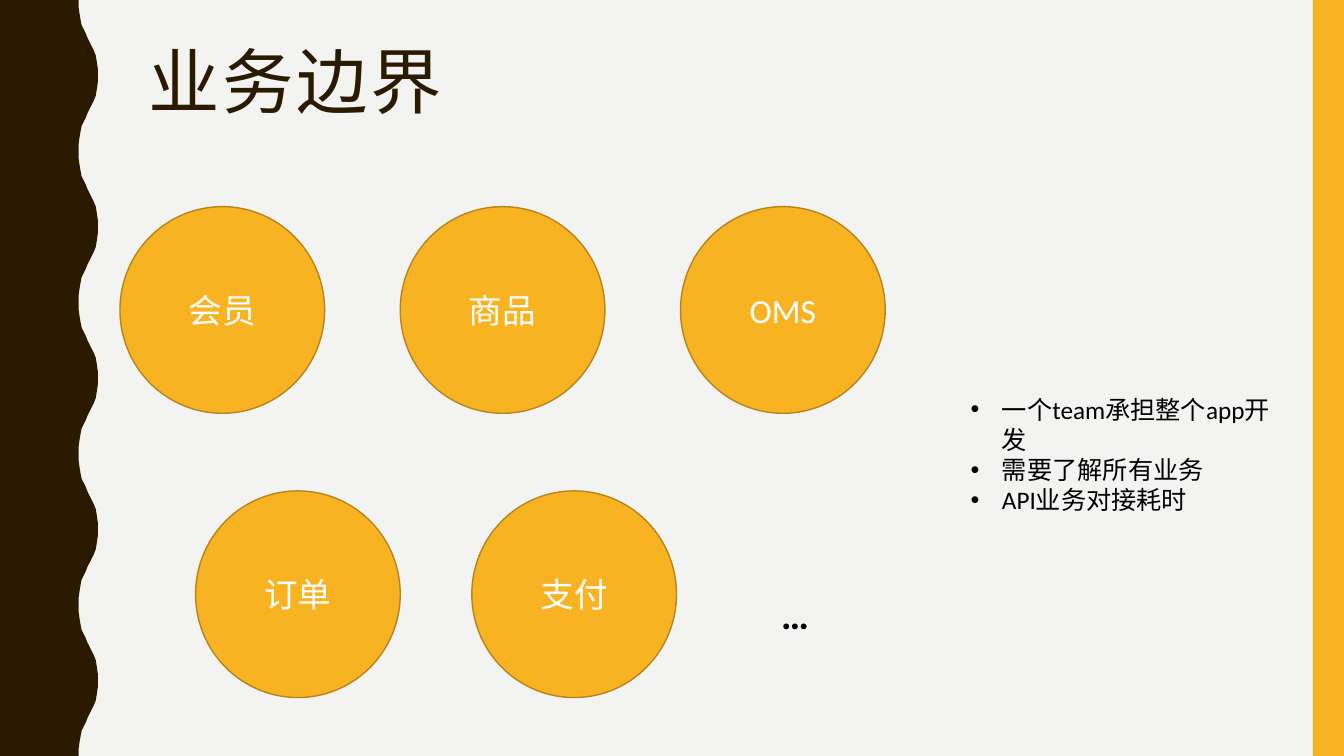
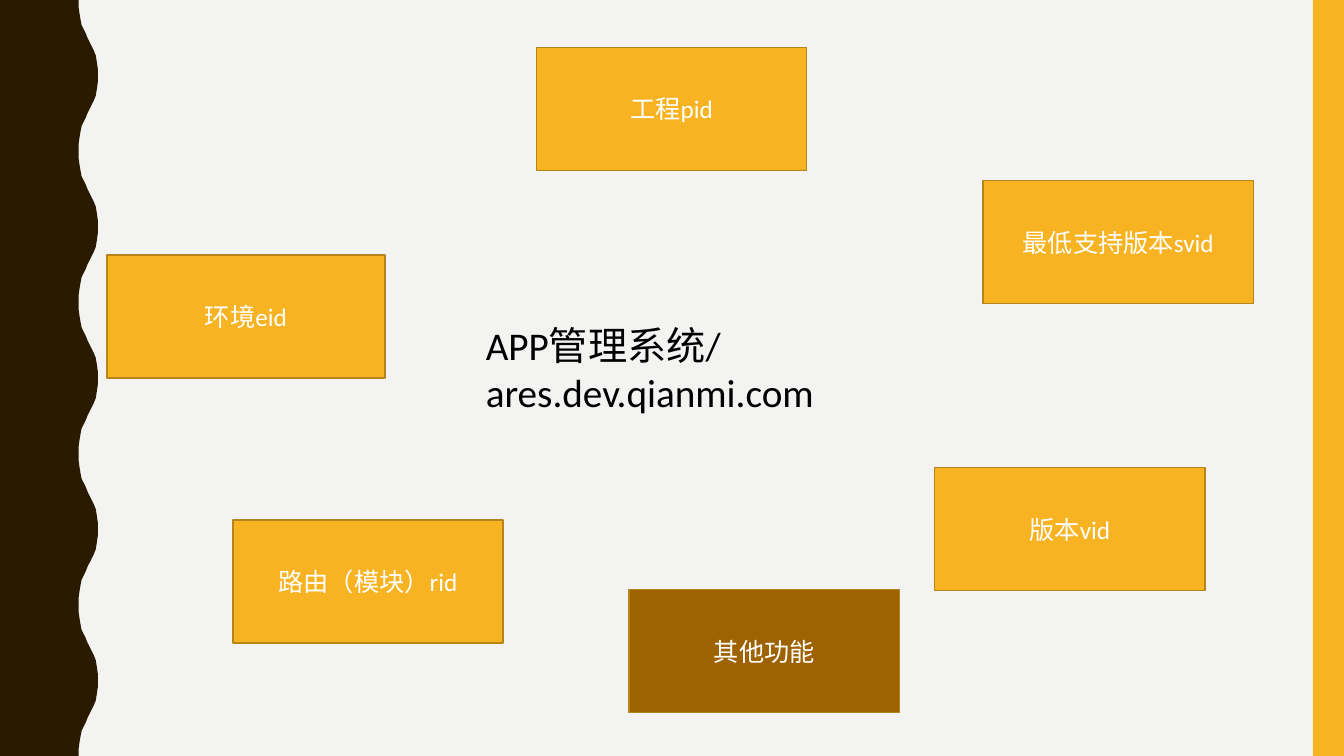
"""Build two slides on business boundaries and an app management system."""
from lxml import etree
from pptx import Presentation
from pptx.dml.color import RGBColor
from pptx.enum.shapes import MSO_SHAPE
from pptx.enum.text import MSO_ANCHOR, PP_ALIGN
from pptx.oxml.ns import qn
from pptx.util import Inches, Pt

RECTANGLE, OVAL = MSO_SHAPE.RECTANGLE, MSO_SHAPE.OVAL
MIDDLE, CENTER = MSO_ANCHOR.MIDDLE, PP_ALIGN.CENTER

PAPER = RGBColor(0xF3, 0xF3, 0xF2)
DARK = RGBColor(0x2A, 0x1A, 0x00)
GOLD = RGBColor(0xF8, 0xB3, 0x23)
GOLD_EDGE = RGBColor(0xB7, 0x84, 0x1A)
BROWN = RGBColor(0x9F, 0x62, 0x00)
WHITE = RGBColor(0xFF, 0xFF, 0xFF)
BLACK = RGBColor(0x00, 0x00, 0x00)

TITLE_FONT, BODY_FONT = "Roboto Condensed", "Calibri"
PAGE_WIDTH, PAGE_HEIGHT = 13.33, 7.5
BAND_WIDTH = 0.31
WAVE_LENGTH, WAVE_COUNT = 1.5, 5
HALF_WAVE = [
    (0.78, 0), (0.78, 0.07), (0.79, 0.14), (0.8, 0.2), (0.81, 0.25),
    (0.83, 0.29), (0.85, 0.33), (0.87, 0.38), (0.89, 0.42), (0.91, 0.46),
    (0.93, 0.5), (0.95, 0.55), (0.96, 0.61), (0.97, 0.68), (0.97, 0.75),
]


def style_text(frame, size, color, font=BODY_FONT, bold=False):
    """Format every run of a text frame."""
    for para in frame.paragraphs:
        for span in para.runs:
            span.font.size = Pt(size)
            span.font.name = font
            span.font.bold = bold
            span.font.color.rgb = color


def paint(shape, fill, line=None):
    """Give a shape a flat fill and an optional thin outline."""
    shape.shadow.inherit = False
    shape.fill.solid()
    shape.fill.fore_color.rgb = fill
    if line is None:
        shape.line.fill.background()
    else:
        shape.line.color.rgb = line
        shape.line.width = Pt(1)


def add_label_shape(page, kind, box, label, size, fill=GOLD):
    """Add an outlined shape with a centred white label."""
    shape = page.shapes.add_shape(kind, *map(Inches, box))
    paint(shape, fill, GOLD_EDGE)
    frame = shape.text_frame
    frame.word_wrap = True
    frame.vertical_anchor = MIDDLE
    frame.text = label
    frame.paragraphs[0].alignment = CENTER
    style_text(frame, size, WHITE)


def add_text(page, box, text, size, color=BLACK, font=BODY_FONT, bold=False):
    """Add a wrapping text box and return its frame."""
    frame = page.shapes.add_textbox(*map(Inches, box)).text_frame
    frame.word_wrap = True
    frame.text = text
    style_text(frame, size, color, font, bold)
    return frame


def add_title(page, text):
    """Add the slide title."""
    frame = add_text(page, (1.37, 0.42, 11.13, 1.63), text, 51, DARK, TITLE_FONT)
    para = frame.paragraphs[0]
    para.line_spacing = 0.9
    for span in para.runs:
        span.font._element.set("spc", "200")


def add_bullets(page, box, items, size):
    """Add a bulleted list with a hanging indent."""
    frame = add_text(page, box, "\n".join(items), size)
    for para in frame.paragraphs:
        properties = para._p.get_or_add_pPr()
        properties.set("marL", str(Inches(0.31)))
        properties.set("indent", str(Inches(-0.31)))
        etree.SubElement(properties, qn("a:buFont")).set("typeface", "Arial")
        etree.SubElement(properties, qn("a:buChar")).set("char", "•")


def add_wave(page):
    """Add the dark band with a wavy right edge."""
    crest = HALF_WAVE + [(x, WAVE_LENGTH - y) for x, y in HALF_WAVE[-2::-1]]
    outline = [(x, y + WAVE_LENGTH * turn) for turn in range(WAVE_COUNT) for x, y in crest]
    outline.append((0, PAGE_HEIGHT))
    builder = page.shapes.build_freeform(0, 0)
    builder.add_line_segments([(Inches(x), Inches(y)) for x, y in outline], close=True)
    paint(builder.convert_to_shape(), DARK)


def new_page(deck):
    """Add a blank slide with the shared side bands."""
    page = deck.slides.add_slide(deck.slide_layouts[6])
    add_wave(page)
    box = (PAGE_WIDTH - BAND_WIDTH, 0, BAND_WIDTH, PAGE_HEIGHT)
    paint(page.shapes.add_shape(RECTANGLE, *map(Inches, box)), GOLD)
    return page


def add_circle_row(page, left, top, pitch, labels):
    """Add a row of equally spaced circles."""
    for index, label in enumerate(labels):
        box = (left + index * pitch, top, 2.03, 2.05)
        add_label_shape(page, OVAL, box, label, 24)


def build_boundary_slide(deck):
    """Build the slide on business boundaries."""
    page = new_page(deck)
    add_title(page, "业务边界")
    add_circle_row(page, 1.19, 2.05, 2.78, ["会员", "商品", "OMS"])
    add_circle_row(page, 1.94, 4.87, 2.74, ["订单", "支付"])
    add_text(page, (7.65, 5.81, 0.59, 0.57), "…", 28, bold=True)
    notes = ["一个team承担整个app开发", "需要了解所有业务", "API业务对接耗时"]
    add_bullets(page, (9.53, 3.86, 3.4, 1.01), notes, 18)


def build_system_slide(deck):
    """Build the slide on the app management system."""
    page = new_page(deck)
    modules = [
        (1.06, 2.53, 2.76, "环境eid", GOLD),
        (2.31, 5.16, 2.68, "路由（模块）rid", GOLD),
        (5.32, 0.47, 2.68, "工程pid", GOLD),
        (9.75, 1.79, 2.68, "最低支持版本svid", GOLD),
        (9.27, 4.64, 2.68, "版本vid", GOLD),
        (6.24, 5.85, 2.68, "其他功能", BROWN),
    ]
    for left, top, width, label, fill in modules:
        add_label_shape(page, RECTANGLE, (left, top, width, 1.22), label, 18, fill)
    add_text(page, (4.72, 3.14, 5.71, 0.57), "APP管理系统/ares.dev.qianmi.com", 28)


def main():
    """Create the deck and save it."""
    deck = Presentation()
    deck.slide_width, deck.slide_height = Inches(PAGE_WIDTH), Inches(PAGE_HEIGHT)
    background = deck.slide_master.background.fill
    background.solid()
    background.fore_color.rgb = PAPER
    build_boundary_slide(deck)
    build_system_slide(deck)
    deck.save("out.pptx")


if __name__ == "__main__":
    main()
